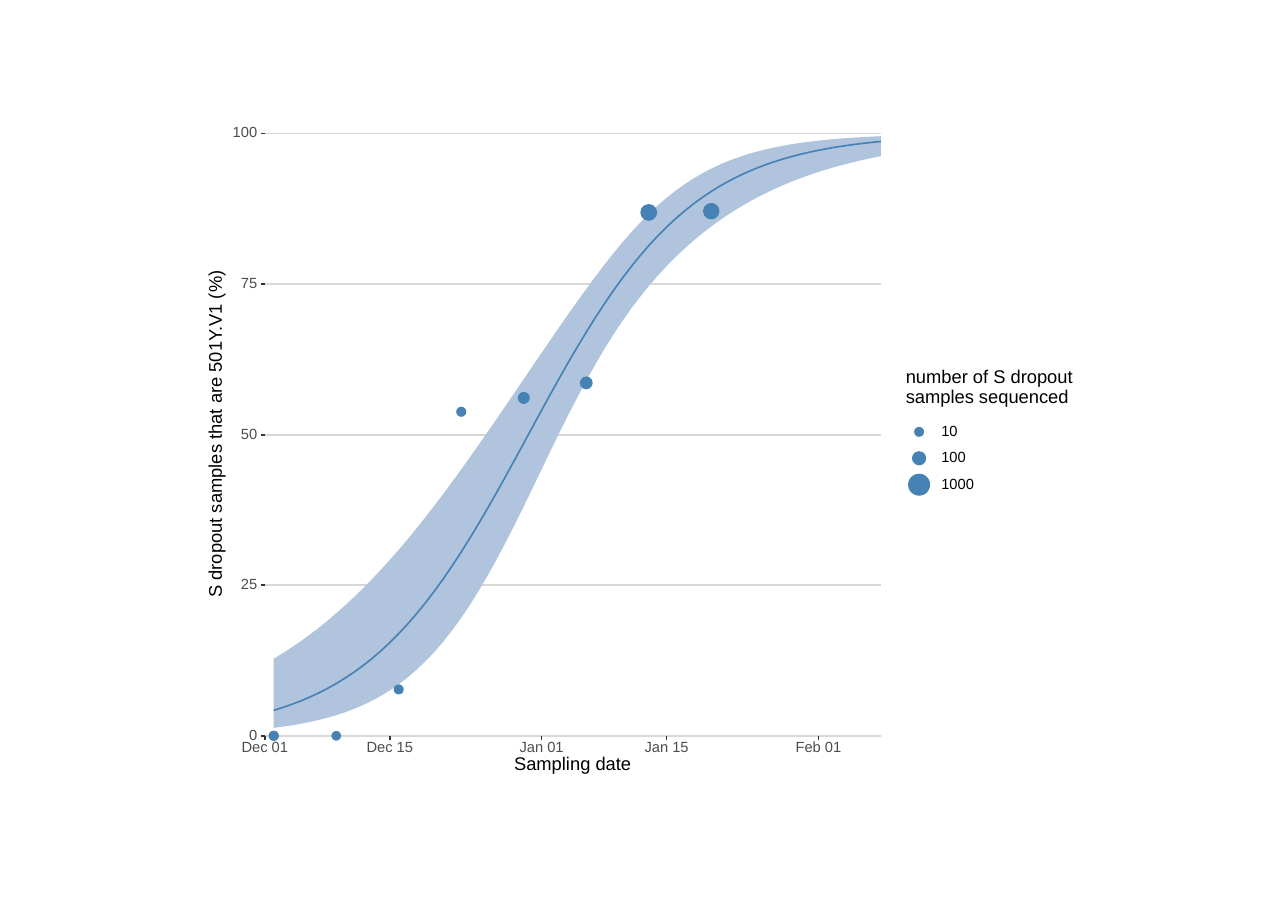
import math

import pptx
import pptx.dml.color
import pptx.enum.shapes
import pptx.enum.text
import pptx.oxml.ns
import pptx.util
from lxml import etree

Pt = pptx.util.Pt
ALIGN = pptx.enum.text.PP_ALIGN
STEEL_BLUE = "4682B4"
PLOT_LEFT, PLOT_TOP, PLOT_BOTTOM = 173.2, 87.3, 481
DAY_WIDTH, LAST_DAY = 5.84, 69
PERCENT_HEIGHT = (PLOT_BOTTOM - PLOT_TOP) / 100
TICK_LENGTH = 2.74


def color(hex_string):
    return pptx.dml.color.RGBColor.from_string(hex_string)


def add_text(text, left, middle, width, size=9.6, ink="4D4D4D", align=ALIGN.LEFT, rotation=0):
    box = slide.shapes.add_textbox(Pt(left), Pt(middle - size / 2), Pt(width), Pt(size))
    box.rotation = rotation
    frame = box.text_frame
    frame.word_wrap = True
    frame.vertical_anchor = pptx.enum.text.MSO_ANCHOR.MIDDLE
    frame.margin_left = frame.margin_right = frame.margin_top = frame.margin_bottom = 0
    paragraph = frame.paragraphs[0]
    paragraph.alignment = align
    paragraph.line_spacing = Pt(size)
    run = paragraph.add_run()
    run.text = text
    run.font.name = "Arial"
    run.font.size = Pt(size)
    run.font.color.rgb = color(ink)


presentation = pptx.Presentation()
presentation.slide_width = Pt(842.375)
presentation.slide_height = Pt(595.5)
slide = presentation.slides.add_slide(presentation.slide_layouts[6])

lines = []
for percent in range(0, 101, 25):
    y = PLOT_BOTTOM - percent * PERCENT_HEIGHT
    lines.append((PLOT_LEFT, y, PLOT_LEFT + LAST_DAY * DAY_WIDTH, y, "D8D8D8"))
    lines.append((PLOT_LEFT - TICK_LENGTH, y, PLOT_LEFT, y, "333333"))
    add_text(str(percent), 128.2, y, 40, align=ALIGN.RIGHT)
for day, date in [(0, "Dec 01"), (14, "Dec 15"), (31, "Jan 01"), (45, "Jan 15"), (62, "Feb 01")]:
    x = PLOT_LEFT + day * DAY_WIDTH
    lines.append((x, PLOT_BOTTOM + TICK_LENGTH, x, PLOT_BOTTOM, "333333"))
    add_text(date, x - 25, 489.2, 50, align=ALIGN.CENTER)

for x1, y1, x2, y2, ink in lines:
    connector = slide.shapes.add_connector(
        pptx.enum.shapes.MSO_CONNECTOR.STRAIGHT, Pt(x1), Pt(y1), Pt(x2), Pt(y2))
    connector.line.color.rgb = color(ink)
    connector.line.width = Pt(1.07)
    etree.SubElement(connector.element.spPr, pptx.oxml.ns.qn("a:effectLst"))

fitted, upper, lower = [], [], []
for day in range(1, LAST_DAY + 1):
    logit = -3.12 + 0.1094 * (day - 1)
    margin = math.sqrt(0.119 + 0.00102 * (day - 37) ** 2)
    for curve, value in [(fitted, logit), (upper, logit + margin), (lower, logit - margin)]:
        percent = 100 / (1 + math.exp(-value))
        curve.append((Pt(PLOT_LEFT + day * DAY_WIDTH), Pt(PLOT_BOTTOM - percent * PERCENT_HEIGHT)))

for points, is_band in [(upper + lower[::-1], True), (fitted, False)]:
    builder = slide.shapes.build_freeform(*points[0])
    builder.add_line_segments(points[1:], close=is_band)
    shape = builder.convert_to_shape()
    shape.shadow.inherit = False
    if is_band:
        shape.fill.solid()
        shape.fill.fore_color.rgb = color("B0C4DE")
        shape.line.fill.background()
    else:
        shape.fill.background()
        shape.line.color.rgb = color(STEEL_BLUE)
        shape.line.width = Pt(1.07)

dots = []
samples = [(0, 6.1), (0, 5.6), (7.7, 5.9), (53.8, 5.9), (56.1, 7.2), (58.6, 7.7), (86.9, 10.3), (87.1, 10.1)]
for week, (percent, diameter) in enumerate(samples):
    day = 1 + 7 * week
    dots.append((PLOT_LEFT + day * DAY_WIDTH, PLOT_BOTTOM - percent * PERCENT_HEIGHT, diameter))
for row, (count, diameter) in enumerate([("10", 5.8), ("100", 8.6), ("1000", 13.7)]):
    y = 282.3 + 17.28 * row
    dots.append((601.1, y, diameter))
    add_text(count, 615.6, y, 40, ink="000000")

for x, y, diameter in dots:
    dot = slide.shapes.add_shape(
        pptx.enum.shapes.MSO_SHAPE.OVAL,
        Pt(x - diameter / 2), Pt(y - diameter / 2), Pt(diameter), Pt(diameter))
    dot.shadow.inherit = False
    dot.fill.solid()
    dot.fill.fore_color.rgb = color(STEEL_BLUE)
    dot.line.color.rgb = color(STEEL_BLUE)
    dot.line.width = Pt(0.71)

add_text("Sampling date", 324.6, 500.4, 100, size=12, ink="000000", align=ALIGN.CENTER)
add_text("S dropout samples that are 501Y.V1 (%)", 21.5, 283.8, 240,
         size=12, ink="000000", align=ALIGN.CENTER, rotation=270)
add_text("number of S dropout", 592.4, 247.3, 130, size=12, ink="000000")
add_text("samples sequenced", 592.4, 260.3, 130, size=12, ink="000000")

presentation.save("out.pptx")
